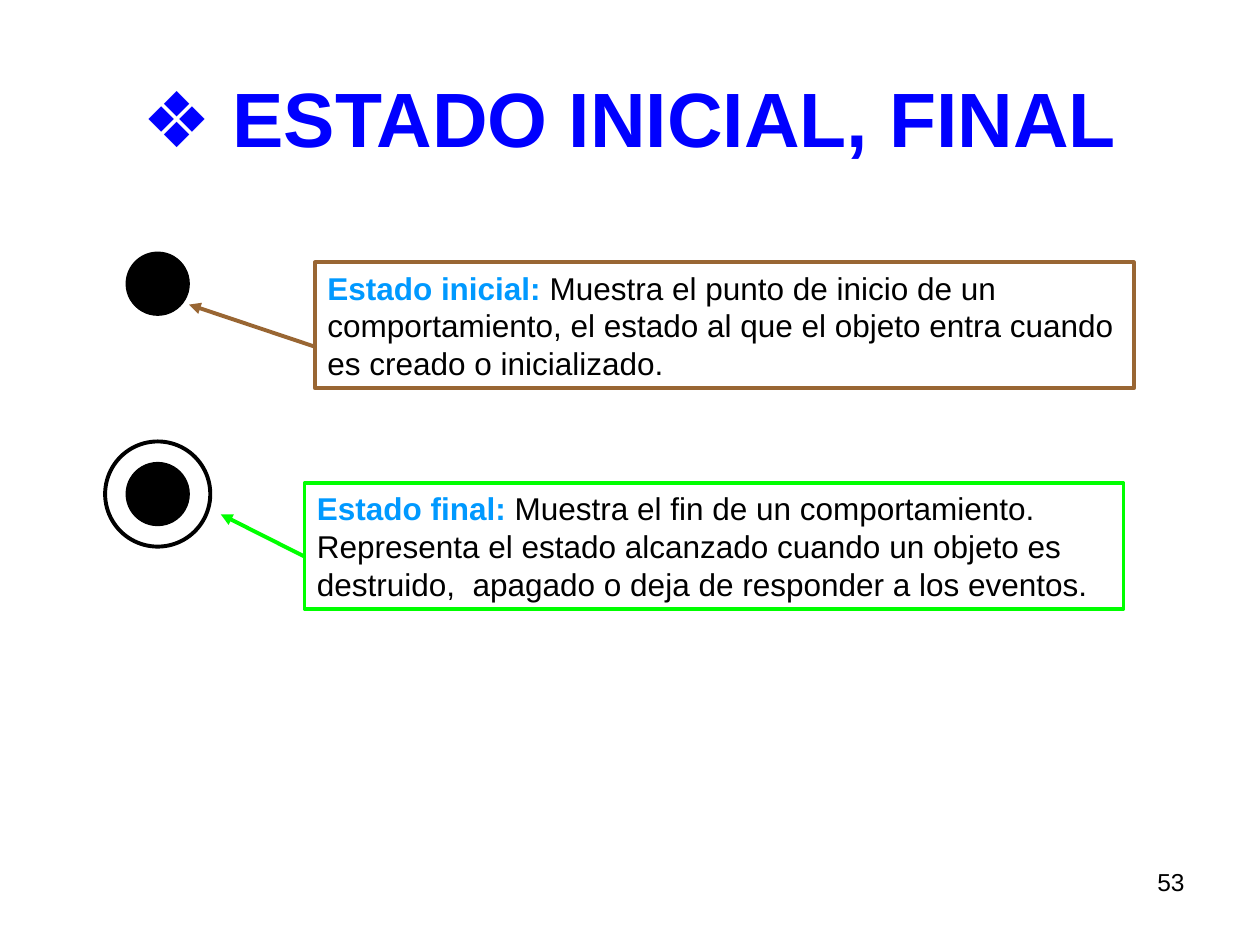
from dataclasses import dataclass

from lxml.etree import SubElement
from pptx import Presentation
from pptx.dml.color import RGBColor as RGB
from pptx.enum.shapes import MSO_CONNECTOR as Connector, MSO_SHAPE as Shape
from pptx.enum.text import MSO_ANCHOR as Anchor, MSO_AUTO_SIZE as AutoSize, PP_ALIGN as Align
from pptx.oxml.ns import qn
from pptx.util import Cm, Pt


@dataclass(frozen=True)
class Theme:
    font: str = "Arial"
    title: RGB = RGB(0x00, 0x00, 0xFF)
    term: RGB = RGB(0x00, 0x99, 0xFF)
    ink: RGB = RGB(0x00, 0x00, 0x00)
    initial: RGB = RGB(0x99, 0x66, 0x33)
    final: RGB = RGB(0x00, 0xFF, 0x00)
    title_size: float = 44
    body_size: float = 18
    number_size: float = 14
    thin: float = 0.75
    thick: float = 2.25


class SlideBuilder:
    def __init__(self, slide, theme):
        self.slide = slide
        self.theme = theme

    def add_run(self, paragraph, text, size, color, bold=False):
        run = paragraph.add_run()
        run.text = text
        run.font.name = self.theme.font
        run.font.size = Pt(size)
        run.font.bold = bold
        run.font.color.rgb = color

    def title(self, text, left, top, width, height):
        heading = self.slide.shapes.title
        heading.left, heading.top = Cm(left), Cm(top)
        heading.width, heading.height = Cm(width), Cm(height)
        frame = heading.text_frame
        frame.vertical_anchor = Anchor.MIDDLE
        frame.auto_size = AutoSize.NONE
        frame.paragraphs[0].alignment = Align.CENTER
        self.add_run(frame.paragraphs[0], text, self.theme.title_size, self.theme.title, True)

    def outline(self, kind, left, top, width, height, color, weight, filled=False):
        figure = self.slide.shapes.add_shape(kind, Cm(left), Cm(top), Cm(width), Cm(height))
        figure.shadow.inherit = False
        if filled:
            figure.fill.solid()
            figure.fill.fore_color.rgb = color
        else:
            figure.fill.background()
        figure.line.color.rgb = color
        figure.line.width = Pt(weight)
        return figure

    def circle(self, center_x, center_y, diameter, weight, filled):
        self.outline(Shape.OVAL, center_x - diameter / 2, center_y - diameter / 2,
                     diameter, diameter, self.theme.ink, weight, filled)

    def definition(self, term, meaning, left, top, width, height, color):
        box = self.outline(Shape.RECTANGLE, left, top, width, height, color, self.theme.thick)
        frame = box.text_frame
        frame.word_wrap = True
        frame.auto_size = AutoSize.SHAPE_TO_FIT_TEXT
        frame.vertical_anchor = Anchor.TOP
        paragraph = frame.paragraphs[0]
        paragraph.alignment = Align.LEFT
        self.add_run(paragraph, term, self.theme.body_size, self.theme.term, True)
        self.add_run(paragraph, meaning, self.theme.body_size, self.theme.ink)

    def arrow(self, start, end, color):
        pointer = self.slide.shapes.add_connector(
            Connector.STRAIGHT, *(Cm(value) for value in (*start, *end)))
        pointer.line.color.rgb = color
        pointer.line.width = Pt(self.theme.thick)
        SubElement(pointer.line._get_or_add_ln(), qn("a:tailEnd"), type="triangle")
        SubElement(pointer._element.spPr, qn("a:effectLst"))

    def page_number(self, text, left, top, width, height):
        box = self.slide.shapes.add_textbox(Cm(left), Cm(top), Cm(width), Cm(height))
        box.text_frame.word_wrap = True
        paragraph = box.text_frame.paragraphs[0]
        paragraph.alignment = Align.RIGHT
        self.add_run(paragraph, text, self.theme.number_size, self.theme.ink)


def main():
    deck = Presentation()
    deck.slide_width, deck.slide_height = Cm(25.4), Cm(19.05)
    theme = Theme()
    title_only = deck.slide_layouts[5]
    builder = SlideBuilder(deck.slides.add_slide(title_only), theme)

    builder.title("❖ ESTADO INICIAL, FINAL", 1.27, 0.76, 22.86, 3.18)

    # State symbols: a dot for the start, a ringed dot for the end
    symbol_x, initial_y, final_y = 3.18, 5.72, 9.96
    dot, ring = 1.27, 2.12
    for center_y in (initial_y, final_y):
        builder.circle(symbol_x, center_y, dot, theme.thin, filled=True)
    builder.circle(symbol_x, final_y, ring, theme.thick, filled=False)

    # Definitions
    box_width, box_height = 16.51, 2.54
    initial_left, final_left = 6.35, 6.14
    builder.definition(
        "Estado inicial:",
        " Muestra el punto de inicio de un comportamiento, el estado al que el objeto "
        "entra cuando es creado o inicializado.",
        initial_left, 5.29, box_width, box_height, theme.initial)
    builder.definition(
        "Estado final:",
        " Muestra el fin de un comportamiento. Representa el estado alcanzado cuando un "
        "objeto es destruido,  apagado o deja de responder a los eventos.",
        final_left, 9.74, box_width, box_height, theme.final)

    # Arrows from each definition to its symbol
    builder.arrow((final_left, 11.22), (4.45, 10.37), theme.final)
    builder.arrow((initial_left, 6.99), (3.81, 6.14), theme.initial)

    builder.page_number("53", 18.2, 17.36, 5.93, 1.32)

    deck.save("out.pptx")


if __name__ == "__main__":
    main()
